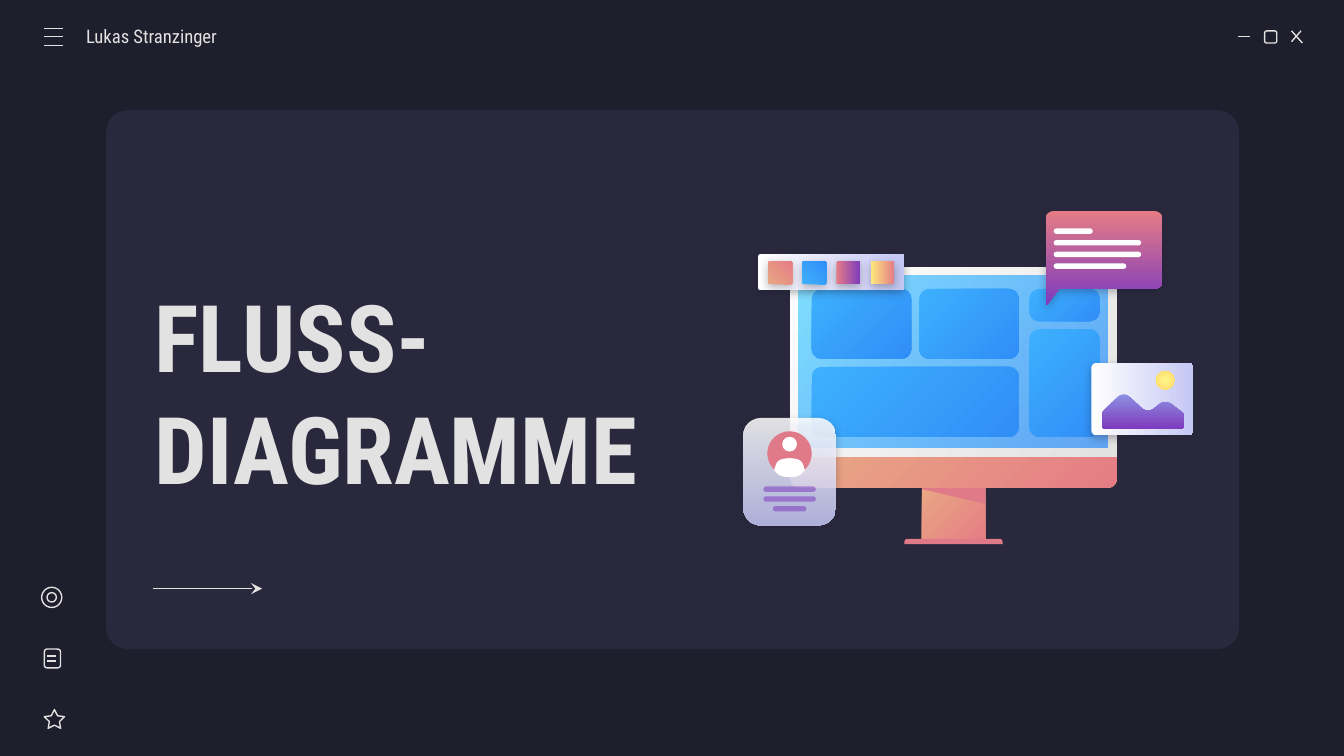
import math

from lxml import etree
from pptx import Presentation
from pptx import util as u
from pptx.dml.color import RGBColor
from pptx.enum import shapes, text
from pptx.oxml.ns import qn

prs = Presentation()
prs.slide_width = u.Inches(10)
prs.slide_height = prs.slide_width * 9 // 16
CELL = prs.slide_width // 1000  # square grid, 1000 columns wide
M = shapes.MSO_SHAPE
LIGHT = "E2E2E2"
PEACH = ("E9A984", "E57C85")
BLUE = ("3DB0FD", "308EF7")
BERRY = ("E57C85", "7E3BBE")
LILAC = ("FFFFFF", "C5C7F4")
ROSE, WHITE = "E07A88", "FFFFFF"


def style(sp, fill=None, angle=45, line=None, shadow=False):
    """Fill with RRGGBB[AA] or a pair of them (angle clockwise, None is radial), then line and shadow."""
    spPr = sp.element.spPr
    if fill:
        colours = [fill] if isinstance(fill, str) else fill
        if len(colours) == 1:
            sp.fill.solid()
            targets = [sp.fill.fore_color]
        else:
            sp.fill.gradient()
            sp.fill.gradient_angle = -(angle or 0) % 360
            targets = [stop.color for stop in sp.fill.gradient_stops]
        for target, colour in zip(targets, colours):
            target.rgb = RGBColor.from_string(colour[:6])
        for clr, colour in zip(list(spPr.iter(qn("a:srgbClr"))), colours):
            if colour[6:]:
                alpha = round(int(colour[6:], 16) / 255 * 100) * 1000
                etree.SubElement(clr, qn("a:alpha"), val=str(alpha))
        if angle is None:
            lin = next(spPr.iter(qn("a:lin")))
            radial = etree.Element(qn("a:path"), path="circle")
            etree.SubElement(radial, qn("a:fillToRect"), l="50000", t="50000", r="50000", b="50000")
            lin.getparent().replace(lin, radial)
    elif hasattr(sp, "fill"):
        sp.fill.background()
    if line:
        sp.line.color.rgb = RGBColor.from_string(line)
        sp.line.width = u.Pt(0.75)
    else:
        sp.line.fill.background()
    effects = etree.SubElement(spPr, qn("a:effectLst"))
    if shadow:
        outer = etree.SubElement(effects, qn("a:outerShdw"), blurRad=str(u.Pt(4.5)),
                                 dist=str(u.Pt(1.5)), dir="5400000", algn="bl", rotWithShape="0")
        clr = etree.SubElement(outer, qn("a:srgbClr"), val="1E1E2C")
        etree.SubElement(clr, qn("a:alpha"), val="30000")
    return sp


def rounded_polygon(group, corners):
    """Draw a closed outline through (column, row, rounding) corners."""
    points = []
    for i, (x, y, r) in enumerate(corners):
        ends = []
        for nx, ny, _ in (corners[i - 1], corners[(i + 1) % len(corners)]):
            share = min(r / math.dist((x, y), (nx, ny)), 0.5)
            ends.append((x + (nx - x) * share, y + (ny - y) * share))
        (ax, ay), (bx, by) = ends
        for t in [k / 8 for k in range(9)] if r else [0]:
            a, m, b = (1 - t) ** 2, 2 * t * (1 - t), t * t
            points.append((round((a * ax + m * x + b * bx) * CELL),
                           round((a * ay + m * y + b * by) * CELL)))
    pen = group.shapes.build_freeform(*points[0])
    pen.add_line_segments(points[1:], close=True)
    return pen.convert_to_shape()


s = prs.slides.add_slide(prs.slide_layouts[0])
s.background.fill.solid()
s.background.fill.fore_color.rgb = RGBColor.from_string("1E1E2C")

# Panel, with the two placeholders in front of it
panel = s.shapes.add_shape(M.ROUNDED_RECTANGLE, *[v * CELL for v in (79, 82, 843, 401)])
panel.adjustments[0] = 0.04
style(panel, "29283D")
title, subtitle = s.placeholders
for sp, words, box, inset, size, bold in [
    (subtitle, "Lukas Stranzinger", (64, 12, 117, 30), 0, 10, False),
    (title, "FLUSS-DIAGRAMME", (105, 203, 447, 176), 10, 50, True),
]:
    sp.left, sp.top, sp.width, sp.height = [v * CELL for v in box]
    tf = sp.text_frame
    frame = {"word_wrap": True, "auto_size": text.MSO_AUTO_SIZE.NONE,
             "vertical_anchor": text.MSO_ANCHOR.MIDDLE, "margin_left": inset * CELL,
             "margin_right": 10 * CELL, "margin_top": 10 * CELL, "margin_bottom": 10 * CELL}
    for name, value in frame.items():
        setattr(tf, name, value)
    p = tf.paragraphs[0]
    p.alignment, p.space_before = text.PP_ALIGN.LEFT, u.Pt(0)
    r = p.add_run()
    r.text = words
    for name, value in {"name": "Roboto Condensed", "size": u.Pt(size), "bold": bold}.items():
        setattr(r.font, name, value)
    r.font.color.rgb = RGBColor.from_string(LIGHT)
    sp.element.getparent().append(sp.element)

# Illustration: each part is (preset, box, adjustments, fill, angle, rotation, shadow)
RR, R, O, TOP = M.ROUNDED_RECTANGLE, M.RECTANGLE, M.OVAL, M.ROUND_2_SAME_RECTANGLE
stand = [(R, (686, 361, 47, 43), (), PEACH, 45, 0, False),
         (TOP, (673, 401, 73, 4), (0.5, 0), ROSE, 0, 0, False)]
screen = [(TOP, (588, 339, 243, 24), (0, 0.27), PEACH, 45, 0, False),
          (TOP, (588, 199, 243, 141), (0.04, 0), (WHITE, LIGHT), 45, 0, False),
          (R, (594, 205, 230, 128), (), ("80DFFF", "318FFAB8"), 45, 0, False)]
for box in [(604, 215, 74, 52), (604, 273, 154, 52), (684, 215, 74, 52),
            (766, 215, 52, 24), (766, 245, 52, 80)]:
    screen.append((RR, box, (7.5 / min(box[2:]),), BLUE, 45, 0, False))
message = [(RR, (784, 170 + 8.67 * i, w, 4), (0.5,), WHITE, 0, 0, False)
           for i, w in enumerate((29, 65, 65, 54))]
profile = [(RR, (553, 311, 69, 80), (0.19,), ("FFFFFFDB", "C5C7F4DB"), 90, 0, True),
           (O, (571, 321, 33, 33), (), ROSE, 0, 0, False),
           (O, (582, 325, 11, 11), (), WHITE, 0, 0, False)]
profile += [(RR, (587.5 - w / 2, 362 + 7.3 * i, w, 4), (0.5,), "7E3BBE8A", 0, 0, False)
            for i, w in enumerate((39, 39, 25))]
photo = [(RR, (823, 259, 54, 76), (0.07,), LILAC, 90, 270, True),
         (O, (860, 276, 14, 14), (), ("FFF68E", "FFD966"), None, 0, False)]
palette = [(RR, (605, 148, 27, 109), (0.07,), LILAC, 90, 270, True)]
palette += [(RR, (572 + 25.4 * i, 194, 17, 18), (0.07,), fill, angle, 270, True)
            for i, (fill, angle) in enumerate([(PEACH, 45), (BLUE, 45), (BERRY, 90),
                                               (("FFEA7D", "E57C85"), 90)])]

# Outlines: drawn in the same group, before or after its preset parts
bubble = [(778, 157, 7), (865, 157, 7), (865, 215, 7), (788, 215, 0), (779, 227, 3), (778, 226, 1)]
stand_shade = [(686, 361, 0), (686, 364, 0), (733, 375, 0), (733, 361, 0)]
shoulders = [(576, 350, 0), (579, 341, 10), (596, 341, 10), (599, 350, 0),
             (594, 355, 6), (581, 355, 6)]
hills = [(820, 307, 2), (836, 291, 7), (854, 308, 7), (867, 297, 7), (881, 308, 2),
         (881, 319, 3), (820, 319, 3)]
for parts, before, after in [
    (stand, None, (stand_shade, ROSE, False)),
    (screen, None, None),
    (message, (bubble, BERRY, True), None),
    (profile, None, (shoulders, WHITE, False)),
    (photo, None, (hills, ("8D90E1", "7E3BBE"), False)),
    (palette, None, None),
]:
    group = s.shapes.add_group_shape()
    if before:
        style(rounded_polygon(group, before[0]), before[1], 90, shadow=before[2])
    for preset, box, adjust, fill, angle, turn, shadow in parts:
        sp = group.shapes.add_shape(preset, *[round(v * CELL) for v in box])
        for i, value in enumerate(adjust):
            sp.adjustments[i] = value
        sp.rotation = turn
        style(sp, fill, angle, shadow=shadow)
    if after:
        style(rounded_polygon(group, after[0]), after[1], 90, shadow=after[2])

# Thin-line icons: menu, window buttons, sidebar
menu, window, sidebar = [s.shapes.add_group_shape() for _ in range(3)]
for group, preset, box in [
    (window, RR, (941, 23, 9, 9)), (sidebar, M.STAR_5_POINT, (33, 528, 15, 14)),
    (sidebar, RR, (33, 483, 12, 14)), (sidebar, O, (31, 437, 15, 15)), (sidebar, O, (35, 441, 7, 7)),
]:
    sp = group.shapes.add_shape(preset, *[v * CELL for v in box])
    if preset == M.STAR_5_POINT:
        sp.adjustments[0] = 0.25
    style(sp, line=LIGHT)
strokes = [(menu, (33, y, 47, y)) for y in (21, 27, 34)]
strokes += [(window, ends) for ends in [(921, 27, 930, 27), (961, 23, 969, 32), (968, 23, 961, 31)]]
strokes += [(sidebar, (35, y, 42, y)) for y in (488, 492)]
for owner, ends in strokes + [(s, (114, 438, 195, 438))]:
    arrow = owner.shapes.add_connector(shapes.MSO_CONNECTOR.STRAIGHT, *[v * CELL for v in ends])
    style(arrow, line=LIGHT)
etree.SubElement(arrow.element.spPr.find(qn("a:ln")), qn("a:tailEnd"), type="stealth")

prs.save("out.pptx")
